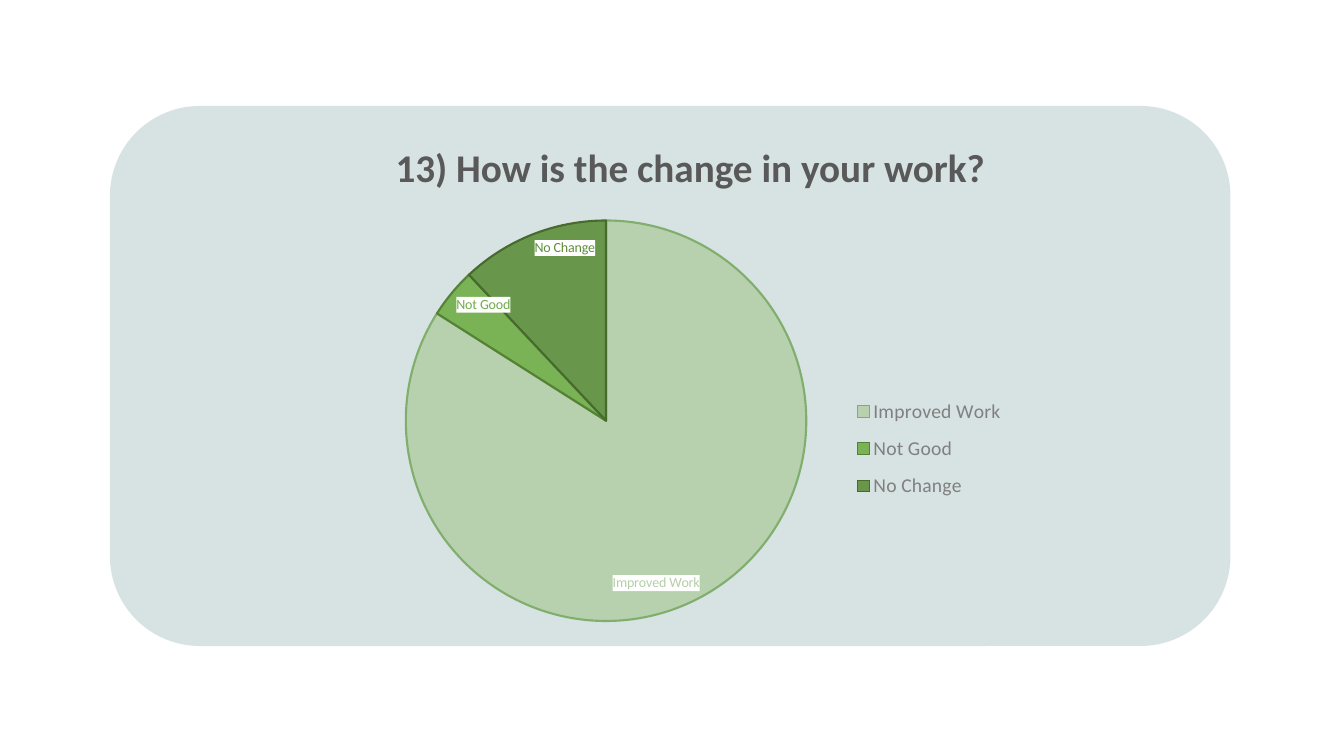
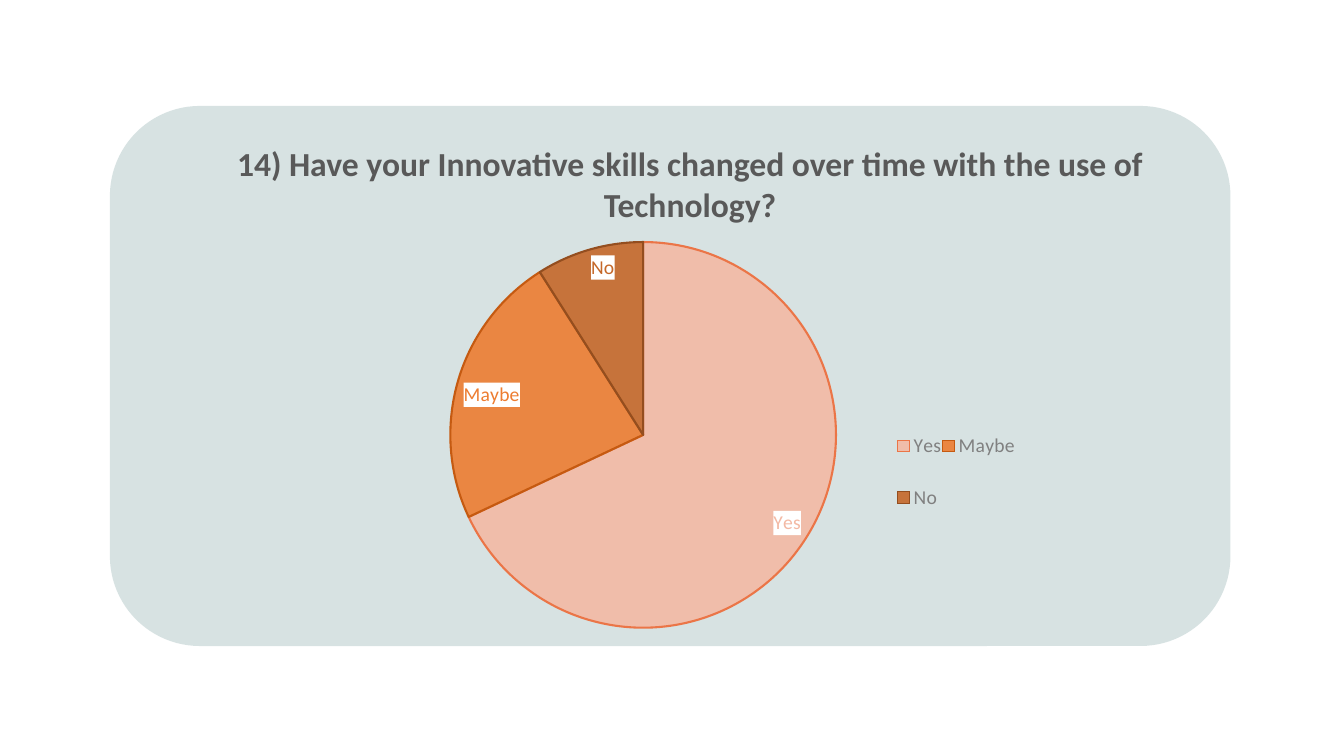
"""Build two survey slides, each with a question and a pie chart of the answers."""
from dataclasses import dataclass

from lxml import etree
from pptx import Presentation
from pptx.chart.data import CategoryChartData
from pptx.dml.color import RGBColor
from pptx.enum.chart import XL_CHART_TYPE, XL_LABEL_POSITION, XL_LEGEND_POSITION
from pptx.enum.shapes import MSO_SHAPE
from pptx.enum.text import MSO_ANCHOR, MSO_AUTO_SIZE, PP_ALIGN
from pptx.oxml import parse_xml
from pptx.oxml.ns import nsdecls, qn
from pptx.util import Cm, Pt

PIE = XL_CHART_TYPE.PIE
INSIDE_END = XL_LABEL_POSITION.INSIDE_END
RIGHT = XL_LEGEND_POSITION.RIGHT
ROUNDED = MSO_SHAPE.ROUNDED_RECTANGLE
TOP = MSO_ANCHOR.TOP
GROW = MSO_AUTO_SIZE.SHAPE_TO_FIT_TEXT
CENTER = PP_ALIGN.CENTER

FONT = "Calibri"
PANEL = RGBColor(0xB1, 0xC7, 0xC7)
QUESTION = RGBColor(0x59, 0x59, 0x59)
LEGEND = RGBColor(0x80, 0x80, 0x80)
BLACK = RGBColor(0x00, 0x00, 0x00)
PALE_GREEN = RGBColor(0xB4, 0xCF, 0xA8)
GREEN = RGBColor(0x70, 0xAD, 0x47)
DARK_GREEN = RGBColor(0x5D, 0x8F, 0x3B)
PALE_GREEN_EDGE = RGBColor(0x7F, 0xAE, 0x6D)
GREEN_EDGE = RGBColor(0x54, 0x82, 0x35)
DARK_GREEN_EDGE = RGBColor(0x46, 0x6B, 0x2C)
PALE_ORANGE = RGBColor(0xF3, 0xB9, 0xA4)
ORANGE = RGBColor(0xED, 0x7D, 0x31)
DARK_ORANGE = RGBColor(0xC5, 0x68, 0x29)
PALE_ORANGE_EDGE = RGBColor(0xEB, 0x75, 0x47)
ORANGE_EDGE = RGBColor(0xC5, 0x5A, 0x11)
DARK_ORANGE_EDGE = RGBColor(0x94, 0x4E, 0x1F)


@dataclass
class Answer:
    """One answer with its share in percent and its slice colours."""
    label: str
    share: int
    fill: RGBColor
    edge: RGBColor


def set_opacity(element, colour_query, percent):
    """Make the colours found below an element partly transparent."""
    for colour in element.xpath(colour_query):
        etree.SubElement(colour, qn("a:alpha")).set("val", str(percent * 1000))


def manual_layout(area, target=""):
    """Return a chart layout for left, top, width and height as fractions."""
    sizes = "".join(f'<c:{key} val="{value}"/>' for key, value in zip("xywh", area))
    return parse_xml(
        f'<c:layout {nsdecls("c")}><c:manualLayout>{target}'
        f'<c:xMode val="edge"/><c:yMode val="edge"/>{sizes}'
        "</c:manualLayout></c:layout>")


class SurveyDeck:
    """Holds the shared style and the current slide."""

    def __init__(self):
        self.deck = Presentation()
        self.deck.slide_width, self.deck.slide_height = Cm(33.87), Cm(19.05)
        self.slide = None

    def style_font(self, font, size, colour, bold=False):
        """Apply the deck's typeface with a size and colour."""
        font.name, font.size, font.bold = FONT, Pt(size), bold
        font.color.rgb = colour

    def add_slide(self):
        """Start a slide with the rounded panel behind its title."""
        self.slide = self.deck.slides.add_slide(self.deck.slide_layouts[5])
        panel = self.slide.shapes.add_shape(
            ROUNDED, Cm(2.77), Cm(2.67), Cm(28.24), Cm(13.61))
        panel.shadow.inherit = False
        panel.fill.solid()
        panel.fill.fore_color.rgb = PANEL
        panel.line.fill.background()
        set_opacity(panel.element, "./p:spPr/a:solidFill/a:srgbClr", 50)
        self.slide.shapes.title.element.addprevious(panel.element)

    def add_question(self, question, size, height):
        """Write the question into the title placeholder."""
        title = self.slide.shapes.title
        title.left, title.top = Cm(3.71), Cm(3.48)
        title.width, title.height = Cm(27.36), Cm(height)
        frame = title.text_frame
        frame.text = question
        frame.word_wrap = True
        frame.auto_size = GROW
        frame.vertical_anchor = TOP
        paragraph = frame.paragraphs[0]
        paragraph.alignment = CENTER
        self.style_font(paragraph.font, size, QUESTION, bold=True)

    def add_pie(self, answers, box, label_size, pie_area, legend_area):
        """Draw the answers as a pie with labels and a legend."""
        shares = CategoryChartData()
        shares.categories = [answer.label for answer in answers]
        shares.add_series("Series 1", [answer.share for answer in answers])
        chart = self.slide.shapes.add_chart(PIE, *map(Cm, box), shares).chart
        chart.has_title = False
        self.style_font(chart.font, 10, BLACK)
        chart.plots[0].vary_by_categories = True
        points = chart.plots[0].series[0].points
        for index, answer in enumerate(answers):
            self.style_slice(points[index], answer, label_size)
        set_opacity(chart.element, ".//c:dPt/c:spPr/a:solidFill/a:srgbClr", 90)
        self.show_categories(chart)
        self.place_legend(chart, legend_area)
        plot_area = chart.element.xpath(".//c:plotArea")[0]
        for automatic in plot_area.xpath("./c:layout"):
            plot_area.remove(automatic)
        plot_area.insert(
            0, manual_layout(pie_area, '<c:layoutTarget val="inner"/>'))

    def style_slice(self, point, answer, label_size):
        """Colour one slice and its label."""
        point.format.fill.solid()
        point.format.fill.fore_color.rgb = answer.fill
        point.format.line.color.rgb = answer.edge
        point.format.line.width = Pt(1.5)
        self.style_font(point.data_label.font, label_size, answer.fill)
        point.data_label.position = INSIDE_END

    def show_categories(self, chart):
        """Show category names on white in place of values."""
        for label in chart.element.xpath(".//c:dLbl"):
            label.find(qn("c:showVal")).set("val", "0")
            label.find(qn("c:showCatName")).set("val", "1")
            label.find(qn("c:txPr")).addprevious(parse_xml(
                f'<c:spPr {nsdecls("c", "a")}><a:solidFill>'
                '<a:srgbClr val="FFFFFF"/></a:solidFill></c:spPr>'))

    def place_legend(self, chart, area):
        """Put the legend at a fixed place right of the pie."""
        chart.has_legend = True
        chart.legend.position = RIGHT
        chart.legend.include_in_layout = False
        self.style_font(chart.legend.font, 14, LEGEND)
        legend = chart.element.xpath(".//c:legend")[0]
        for automatic in legend.xpath("./c:layout"):
            legend.remove(automatic)
        legend.find(qn("c:legendPos")).addnext(manual_layout(area))


def main():
    """Build and save the survey slides."""
    survey = SurveyDeck()

    survey.add_slide()
    survey.add_question("13) How is the change in your work?", 28, 1.45)
    survey.add_pie(
        [Answer("Improved Work", 84, PALE_GREEN, PALE_GREEN_EDGE),
         Answer("Not Good", 4, GREEN, GREEN_EDGE),
         Answer("No Change", 12, DARK_GREEN, DARK_GREEN_EDGE)],
        box=(9.25, 5.18, 16.28, 10.85), label_size=10,
        pie_area=(0.06, 0.03, 0.62, 0.94), legend_area=(0.75, 0.42, 0.24, 0.29))

    survey.add_slide()
    survey.add_question(
        "14) Have your Innovative skills changed over time with the use of Technology?",
        24, 2.31)
    survey.add_pie(
        [Answer("Yes", 68, PALE_ORANGE, PALE_ORANGE_EDGE),
         Answer("Maybe", 23, ORANGE, ORANGE_EDGE),
         Answer("No", 9, DARK_ORANGE, DARK_ORANGE_EDGE)],
        box=(8.99, 5.79, 16.79, 10.34), label_size=14,
        pie_area=(0.14, 0.03, 0.58, 0.94), legend_area=(0.81, 0.43, 0.18, 0.32))

    survey.deck.save("out.pptx")


if __name__ == "__main__":
    main()
